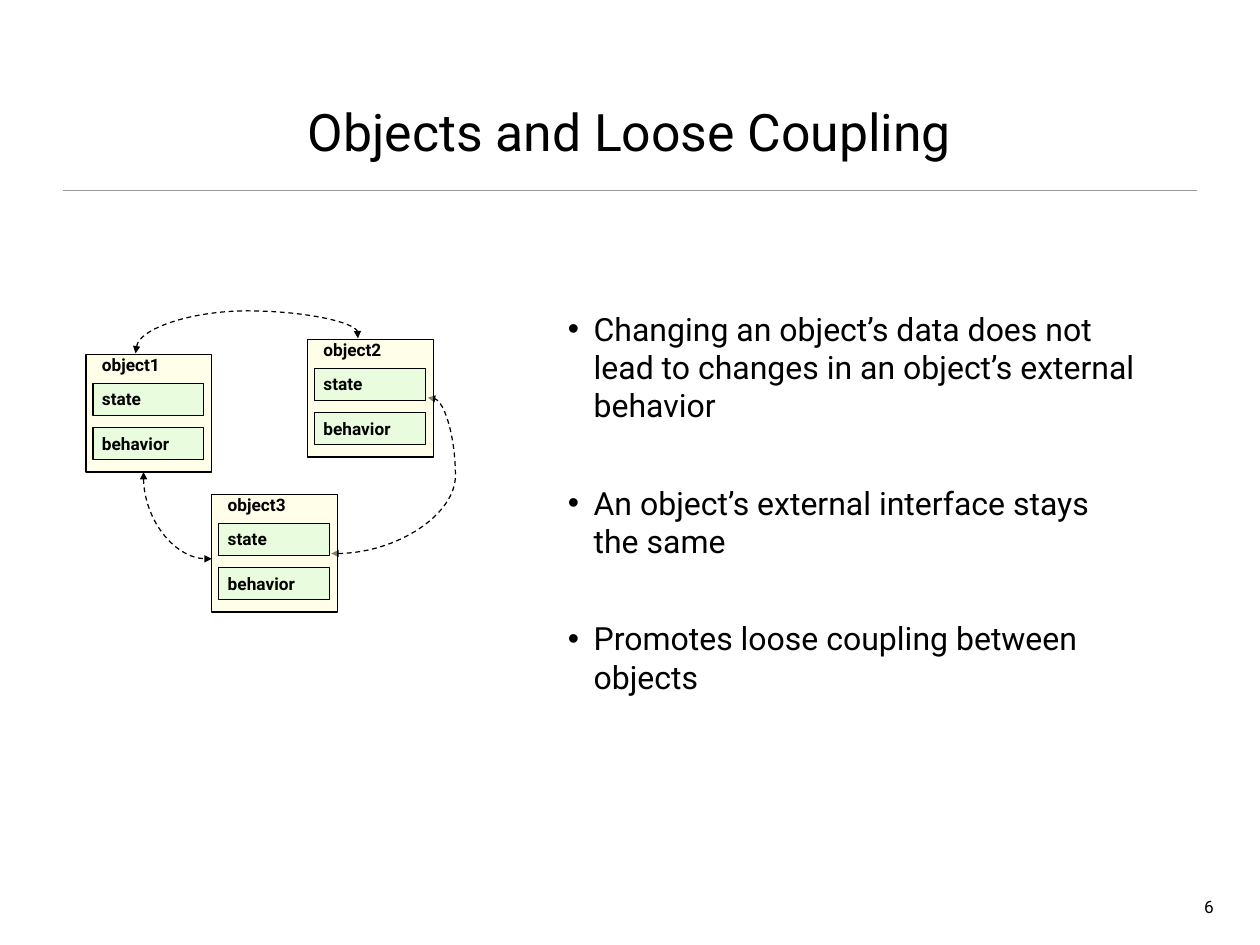
from lxml import etree
from pptx import Presentation
from pptx.dml.color import RGBColor
from pptx.enum.dml import MSO_LINE
from pptx.enum.shapes import MSO_CONNECTOR, MSO_SHAPE
from pptx.enum.text import MSO_ANCHOR, MSO_AUTO_SIZE, PP_ALIGN
from pptx.oxml.ns import qn
from pptx.util import Inches, Pt

RECT, STRAIGHT = MSO_SHAPE.RECTANGLE, MSO_CONNECTOR.STRAIGHT
DASH, NO_FIT = MSO_LINE.DASH, MSO_AUTO_SIZE.NONE
TOP, BOTTOM = MSO_ANCHOR.TOP, MSO_ANCHOR.BOTTOM
LEFT, CENTER, RIGHT = PP_ALIGN.LEFT, PP_ALIGN.CENTER, PP_ALIGN.RIGHT

# Content
TITLE = "Objects and Loose Coupling"
POINTS = [
    "Changing an object’s data does not lead to changes in an object’s external behavior",
    "An object’s external interface stays the same",
    "Promotes loose coupling between objects",
]
PAGE = "6"
OBJECTS = [("object1", 0.97, 4.0), ("object2", 3.47, 3.83), ("object3", 2.39, 5.58)]
PARTS = [("state", 0.33), ("behavior", 0.83)]
# Each link: start point, then steps of one point (line) or three (curve)
LINKS = [
    ((1.53, 3.99), [
        [(1.54, 3.93)],
        [(1.54, 3.72), (2.16, 3.51), (2.79, 3.51)],
        [(3.41, 3.51), (4.04, 3.64), (4.04, 3.76)],
        [(4.04, 3.82)]]),
    ((1.62, 5.33), [
        [(1.62, 5.39)],
        [(1.62, 5.85), (1.97, 6.31), (2.33, 6.31)],
        [(2.39, 6.31)]]),
    ((3.74, 6.25), [
        [(3.8, 6.25)],
        [(4.47, 6.25), (5.14, 5.81), (5.14, 5.37)],
        [(5.14, 4.94), (5.01, 4.5), (4.89, 4.5)],
        [(4.83, 4.49)]]),
]

FONT = "Roboto"
COLORS = {"ink": "000000", "rule": "9A9A9A", "card": "FFFED5", "part": "D4FDD5"}
CARD_W, CARD_H = 1.42, 1.33
PART_W, PART_H = 1.25, 0.36
INSET = 0.08


def color(name):
    return RGBColor.from_string(COLORS[name])


def frame(shape, anchor=TOP, wrap=True):
    text = shape.text_frame
    text.auto_size, text.word_wrap, text.vertical_anchor = NO_FIT, wrap, anchor
    text.margin_left = text.margin_right = Inches(0.06)
    text.margin_top = text.margin_bottom = Inches(0.06)
    return text


def style(para, size, align=LEFT, bold=False):
    para.alignment = align
    font = para.font
    font.name, font.size, font.bold = FONT, Pt(size), bold
    font.color.rgb = color("ink")


def place(shape, x, y, w, h):
    shape.left, shape.top = Inches(x), Inches(y)
    shape.width, shape.height = Inches(w), Inches(h)


def indent(para, left, first=0):
    props = para._p.get_or_add_pPr()
    props.set("marL", str(Inches(left)))
    props.set("indent", str(Inches(first)))
    return props


def label(shape, words):
    para = frame(shape).paragraphs[0]
    para.text = words
    indent(para, 0.04)
    style(para, 14, bold=True)


def box(x, y, w, h, fill):
    shape = shapes.add_shape(RECT, Inches(x), Inches(y), Inches(w), Inches(h))
    shape.shadow.inherit = False
    shape.fill.solid()
    shape.fill.fore_color.rgb = color(fill)
    tint = shape._element.spPr.find(".//" + qn("a:srgbClr"))
    etree.SubElement(tint, qn("a:alpha"), val="50000")
    shape.line.color.rgb = color("ink")
    shape.line.width = Pt(1)
    return shape


def link(start, steps):
    # Points in whole EMU, as the path keeps only integers
    pen = shapes.build_freeform(Inches(start[0]), Inches(start[1]))
    spots = [(Inches(x), Inches(y)) for step in steps for x, y in step]
    pen.add_line_segments(spots, close=False)
    shape = pen.convert_to_shape()
    shape.shadow.inherit = False
    shape.fill.background()
    shape.line.color.rgb = color("ink")
    shape.line.width = Pt(1)
    shape.line.dash_style = DASH
    for end in ("a:headEnd", "a:tailEnd"):
        etree.SubElement(shape.line._ln, qn(end), type="triangle")
    # Join each run of three points into one curve
    lines = iter(shape._element.findall(".//" + qn("a:lnTo")))
    for step in steps:
        group = [next(lines) for _ in step]
        if len(group) == 3:
            curve = etree.Element(qn("a:cubicBezTo"))
            group[0].addprevious(curve)
            for line in group:
                curve.append(line[0])
                line.getparent().remove(line)


deck = Presentation()
deck.slide_width, deck.slide_height = Inches(14.22), Inches(10.67)
slide = deck.slides.add_slide(deck.slide_layouts[1])
shapes = slide.shapes

# Title and rule
title = shapes.title
place(title, 0.62, 0.36, 12.97, 1.53)
para = frame(title, BOTTOM).paragraphs[0]
para.text = TITLE
style(para, 42, CENTER)

rule = shapes.add_connector(STRAIGHT, Inches(0.71), Inches(2.15), Inches(13.51), Inches(2.15))
rule.line.color.rgb = color("rule")
rule.line.width = Pt(1)
etree.SubElement(rule._element.spPr, qn("a:effectLst"))

# Bullet list
body = slide.placeholders[1]
place(body, 5.86, 3.43, 7.04, 4.96)
text = frame(body)
for i, point in enumerate(POINTS):
    para = text.paragraphs[0] if i == 0 else text.add_paragraph()
    para.text = point
    para.space_before = Pt(48 if i else 0)
    etree.SubElement(indent(para, 0.78, -0.29), qn("a:buChar"), char="•")
    style(para, 26)

# Links, behind the objects
for start, steps in LINKS:
    link(start, steps)

# Objects with their parts
for name, x, y in OBJECTS:
    box(x, y, CARD_W, CARD_H, "card")
    for part, drop in PARTS:
        label(box(x + INSET, y + drop, PART_W, PART_H, "part"), part)
    head = shapes.add_textbox(Inches(x + INSET), Inches(y - 0.06), Inches(1.08), Inches(0.34))
    label(head, name)

# Page number
page = shapes.add_textbox(Inches(13.42), Inches(10.06), Inches(0.34), Inches(0.33))
para = frame(page, wrap=False).paragraphs[0]
para.text = PAGE
style(para, 14, RIGHT)

deck.save("out.pptx")
